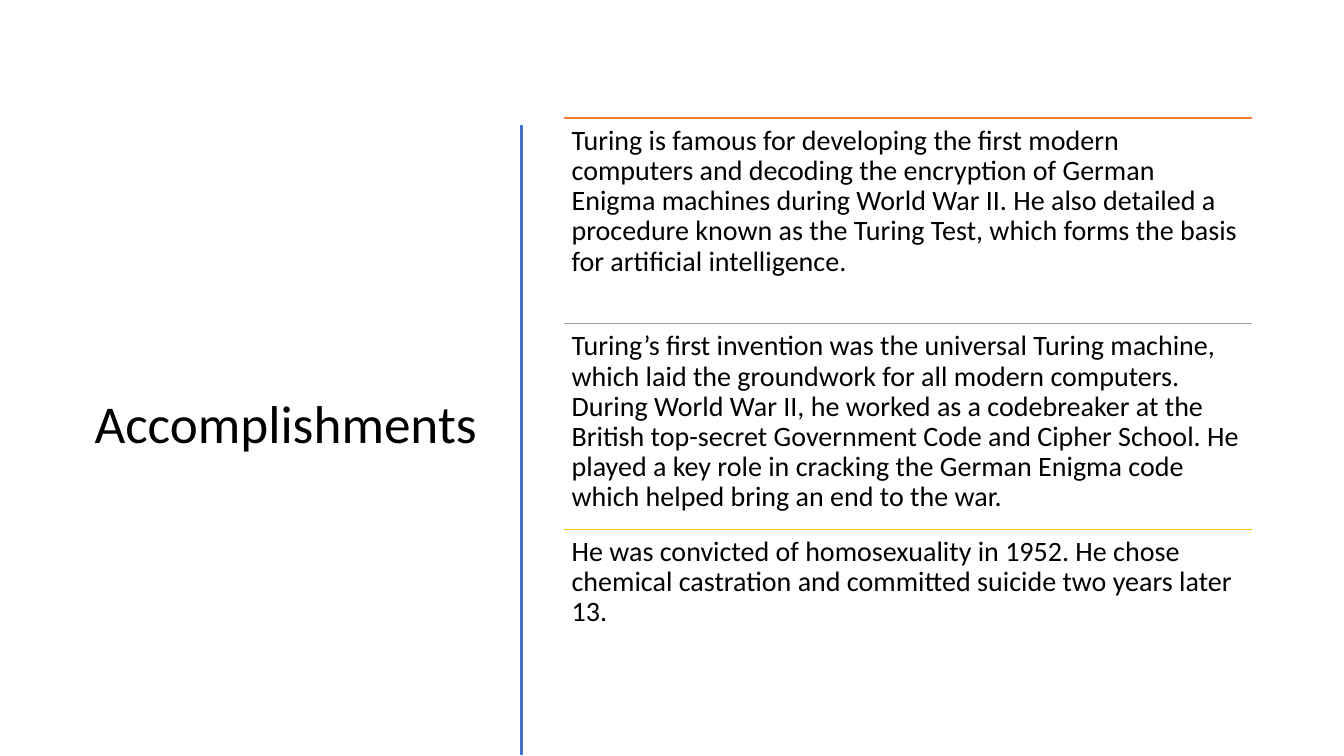
import pptx
import pptx.dml.color
import pptx.enum.shapes
import pptx.enum.text
import pptx.oxml.ns
import pptx.util
from lxml import etree

Inches = pptx.util.Inches
Pt = pptx.util.Pt
FONT = "Calibri"
BLACK = "000000"

ITEMS = [
    ("ED7D31", "Turing is famous for developing the first modern computers and decoding "
     "the encryption of German Enigma machines during World War II. He also detailed a "
     "procedure known as the Turing Test, which forms the basis for artificial intelligence."),
    ("A5A5A5", "Turing’s first invention was the universal Turing machine, which laid the "
     "groundwork for all modern computers. During World War II, he worked as a codebreaker "
     "at the British top-secret Government Code and Cipher School. He played a key role in "
     "cracking the German Enigma code which helped bring an end to the war."),
    ("FFC000", "He was convicted of homosexuality in 1952. He chose chemical castration and "
     "committed suicide two years later 13."),
]


def rgb(value):
    return pptx.dml.color.RGBColor.from_string(value)


def add_rule(slide, x1, y1, x2, y2, color, width):
    line = slide.shapes.add_connector(
        pptx.enum.shapes.MSO_CONNECTOR.STRAIGHT,
        Inches(x1), Inches(y1), Inches(x2), Inches(y2))
    line.line.color.rgb = rgb(color)
    line.line.width = Pt(width)
    etree.SubElement(line._element.spPr, pptx.oxml.ns.qn("a:effectLst"))


def add_text(slide, box, text, size, align, anchor, inset_x, inset_y):
    sp = slide.shapes.add_textbox(*map(Inches, box))
    tf = sp.text_frame
    tf.word_wrap = True
    tf.vertical_anchor = anchor
    tf.margin_left = tf.margin_right = Inches(inset_x)
    tf.margin_top = tf.margin_bottom = Inches(inset_y)
    tf.text = text
    p = tf.paragraphs[0]
    p.alignment = align
    p.line_spacing = 0.9
    r = p.runs[0]
    r.font.name = FONT
    r.font.size = Pt(size)
    r.font.color.rgb = rgb(BLACK)


def add_title(slide, box):
    add_text(slide, box, "Accomplishments", 38, pptx.enum.text.PP_ALIGN.RIGHT,
             pptx.enum.text.MSO_ANCHOR.MIDDLE, 0.1, 0.05)


def add_divider(slide, box):
    left, top, width, height = box
    add_rule(slide, left, top, left + width, top + height, "4472C4", 2)


def add_items(slide, box, items):
    left, top, width, height = box
    row = height / len(items)
    for i, (color, text) in enumerate(items):
        y = top + i * row
        add_rule(slide, left, y, left + width, y, color, 1)
        add_text(slide, (left, y, width, row), text, 20, pptx.enum.text.PP_ALIGN.LEFT,
                 pptx.enum.text.MSO_ANCHOR.TOP, 0.08, 0.08)


def main():
    prs = pptx.Presentation()
    prs.slide_width = Inches(13.33)
    prs.slide_height = Inches(7.5)
    slide = prs.slides.add_slide(prs.slide_layouts[6])
    top, height = 1.17, 6.12
    add_title(slide, (0.52, top, 4.31, height))
    add_divider(slide, (5.17, 1.24, 0, 6.25))
    add_items(slide, (5.59, top, 6.83, height), ITEMS)
    prs.save("out.pptx")


if __name__ == "__main__":
    main()
